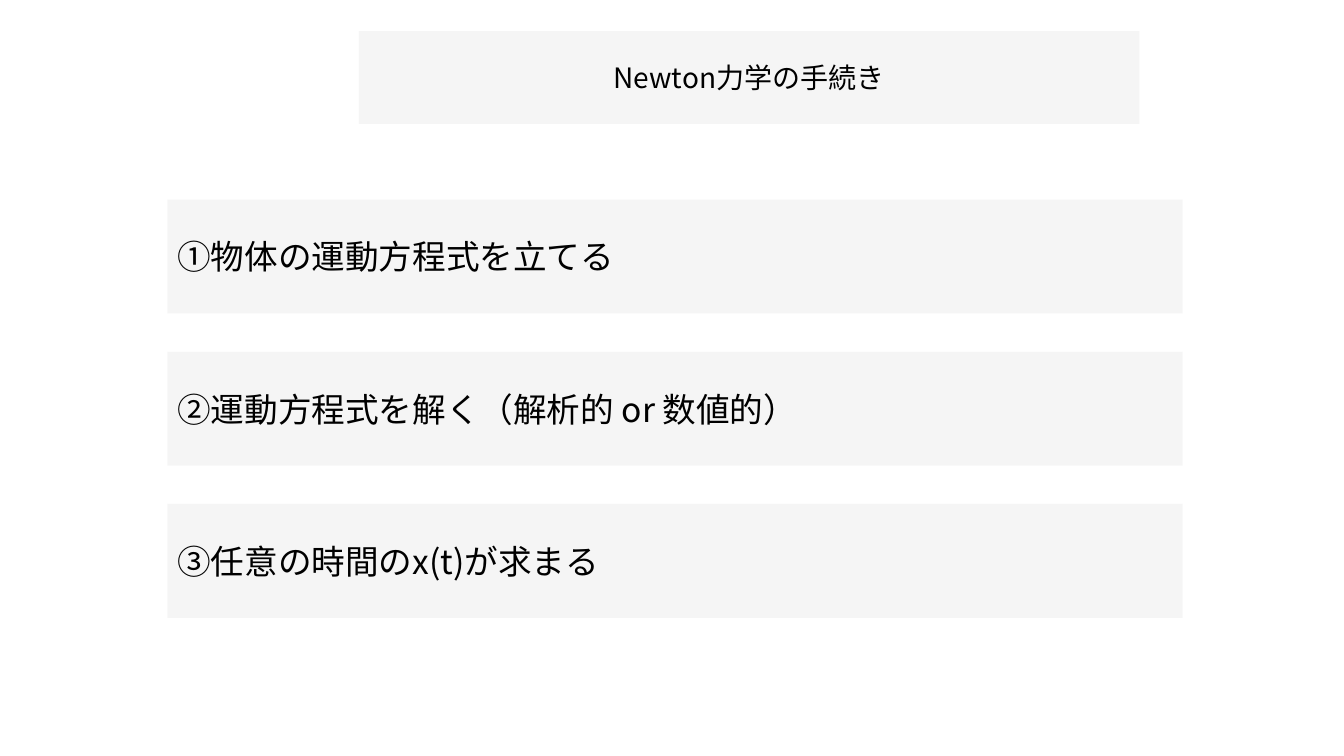
from lxml import etree
from pptx import Presentation
from pptx.dml.color import RGBColor
from pptx.enum import shapes, text
from pptx.oxml import ns
from pptx.util import Inches, Pt

PANEL = RGBColor(0xED, 0xED, 0xED)
BLACK = RGBColor(0x00, 0x00, 0x00)
FONT = "Noto Sans CJK JP"

presentation = Presentation()
presentation.slide_width = Inches(13.33)
presentation.slide_height = Inches(7.5)
slide = presentation.slides.add_slide(presentation.slide_layouts[6])


def add_panel(left, top, width, height, wording, size, alignment):
    shape = slide.shapes.add_shape(
        shapes.MSO_SHAPE.RECTANGLE,
        Inches(left), Inches(top), Inches(width), Inches(height))
    shape.shadow.inherit = False
    shape.line.fill.background()

    # Half-transparent grey fill
    shape.fill.solid()
    shape.fill.fore_color.rgb = PANEL
    color = shape._element.spPr.find(ns.qn("a:solidFill")).find(ns.qn("a:srgbClr"))
    etree.SubElement(color, ns.qn("a:alpha"), val="50000")

    # Text, with the same font for Latin and Japanese
    shape.text_frame.word_wrap = True
    shape.text_frame.vertical_anchor = text.MSO_ANCHOR.MIDDLE
    paragraph = shape.text_frame.paragraphs[0]
    paragraph.text = wording
    paragraph.alignment = alignment
    paragraph.font.size = Pt(size)
    paragraph.font.color.rgb = BLACK
    paragraph.font.name = FONT
    properties = paragraph._p.pPr.find(ns.qn("a:defRPr"))
    etree.SubElement(properties, ns.qn("a:ea"), typeface=FONT)


# Title
add_panel(3.56, 0.31, 7.74, 0.92, "Newton力学の手続き", 20, text.PP_ALIGN.CENTER)

# Steps, evenly spaced
steps = [
    "①物体の運動方程式を立てる",
    "②運動方程式を解く（解析的 or 数値的）",
    "③任意の時間のx(t)が求まる",
]
for index, step in enumerate(steps):
    add_panel(1.66, 1.98 + 1.51 * index, 10.07, 1.13, step, 24, text.PP_ALIGN.LEFT)

presentation.save("out.pptx")
